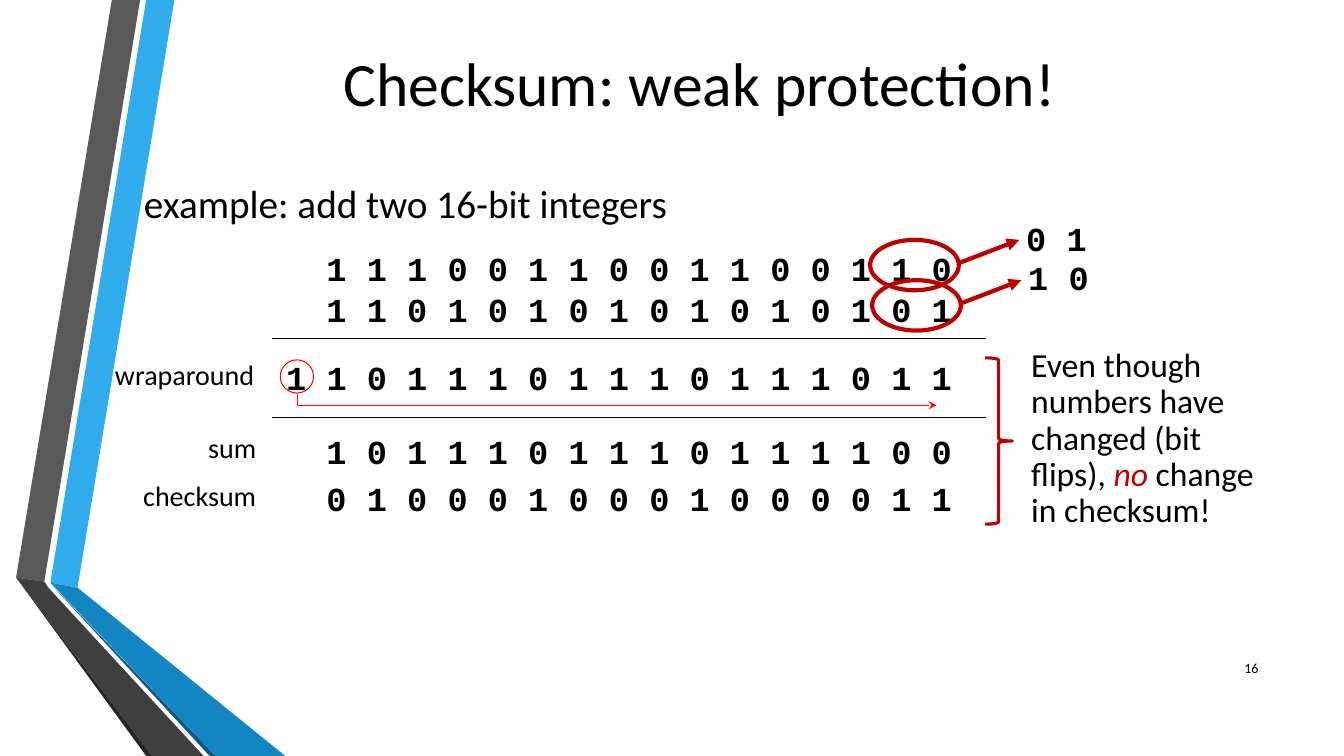
"""Build the slide on the weak protection that a checksum gives."""
from lxml import etree
from pptx import Presentation, util as u
from pptx.dml.color import RGBColor
from pptx.enum import shapes, text
from pptx.oxml.ns import qn

PX = 9144
BLACK, RED, DARK_RED = "000000", "FF0000", "C00000"
SANS, MONO = "Calibri", "Courier New"
LEFT, CENTER, RIGHT = text.PP_ALIGN.LEFT, text.PP_ALIGN.CENTER, text.PP_ALIGN.RIGHT
TOP, MIDDLE = text.MSO_ANCHOR.TOP, text.MSO_ANCHOR.MIDDLE

RIBBONS = [
    ("30ACEC", [(50, 578), (77, 583), (173, 0), (145, 0)]),
    ("595959", [(139, 0), (111, 0), (16, 573), (44, 577)]),
    ("262626", [(16, 573), (145, 750), (151, 750)]),
    ("0B5982", [(50, 579), (208, 750), (214, 750)]),
    ("1186C3", [(50, 578), (214, 750), (283, 750), (77, 583)]),
    ("3F3F3F", [(202, 750), (48, 583), (44, 577), (16, 573), (151, 750)]),
]
TITLE = "Checksum: weak protection!"
EXAMPLE = "example: add two 16-bit integers"
REMARK = [("Even though numbers have changed (bit flips), ", False),
          ("no", True), (" change in checksum!", False)]
PAGE = "16"
LABELS = [("wraparound", 262, 350), ("sum", 264, 422), ("checksum", 264, 470)]
BIT_ROWS = [
    ("1110011001100110", 314, 241),
    ("1101010101010101", 314, 282),
    ("11011101110111011", 274, 349),
    ("1011101110111100", 314, 423),
    ("0100010001000011", 314, 469),
    ("01", 1008, 211),
    ("10", 1010, 250),
]
RULES_Y = [336, 414]
FLIPS = [(863, 238), (865, 278)]
CARRY_PATH = [(295, 391), (295, 402), (929, 402)]
BIT_STEP = 40

deck = Presentation()
deck.slide_width, deck.slide_height = 1333 * PX, 750 * PX
slide = deck.slides.add_slide(deck.slide_layouts[6])


def color(value):
    return RGBColor.from_string(value)


def stroke(shape, value, points, arrow=None):
    shape.line.color.rgb = color(value)
    shape.line.width = u.Pt(points)
    if arrow:
        outline = shape.line._get_or_add_ln()
        etree.SubElement(outline, qn("a:tailEnd"), type=arrow)


def freeform(points, closed):
    builder = slide.shapes.build_freeform(*points[0], scale=PX)
    builder.add_line_segments(points[1:], close=closed)
    outline = builder.convert_to_shape()
    outline.shadow.inherit = False
    return outline


def hollow(kind, box, value, points):
    shape = slide.shapes.add_shape(kind, *(n * PX for n in box))
    shape.shadow.inherit = False
    shape.fill.background()
    stroke(shape, value, points)
    return shape


def connect(start, end, value, points, arrow=None):
    line = slide.shapes.add_connector(
        shapes.MSO_CONNECTOR.STRAIGHT, *(n * PX for n in start + end))
    etree.SubElement(line._element.spPr, qn("a:effectLst"))
    stroke(line, value, points, arrow)


def write(words, box, size, font=SANS, align=LEFT, anchor=TOP, spacing=1.0):
    frame = slide.shapes.add_textbox(*(n * PX for n in box)).text_frame
    frame.word_wrap = True
    frame.vertical_anchor = anchor
    paragraph = frame.paragraphs[0]
    paragraph.text = words
    paragraph.alignment = align
    paragraph.line_spacing = spacing
    paragraph.font.name = font
    paragraph.font.size = u.Pt(size)
    paragraph.font.bold = font == MONO
    paragraph.font.color.rgb = color(BLACK)
    return paragraph


for shade, corners in RIBBONS:
    ribbon = freeform(corners, True)
    ribbon.fill.solid()
    ribbon.fill.fore_color.rgb = color(shade)
    ribbon.line.fill.background()

write(TITLE, (87, 32, 1214, 98), 44, align=CENTER, anchor=MIDDLE)
write(EXAMPLE, (133, 159, 850, 300), 28, spacing=1.3)

for rule_y in RULES_Y:
    connect((978, rule_y), (270, rule_y), BLACK, 1)
for label, right, top in LABELS:
    write(label, (right - 180, top, 180, 44), 20, align=RIGHT)
for bits, left, top in BIT_ROWS:
    write(" ".join(bits), (left, top, len(bits) * BIT_STEP + 10, 50), 24, MONO)

hollow(shapes.MSO_SHAPE.OVAL, (278, 357, 33, 33), RED, 0.75)
carry = freeform(CARRY_PATH, False)
carry.fill.background()
stroke(carry, RED, 0.75, "stealth")

for left, top in FLIPS:
    hollow(shapes.MSO_SHAPE.OVAL, (left, top, 88, 50), DARK_RED, 3)
    connect((left + 88, top + 23), (left + 148, top), DARK_RED, 3, "triangle")

brace = hollow(shapes.MSO_SHAPE.RIGHT_BRACE, (977, 355, 27, 165), DARK_RED, 2.25)
brace.adjustments[0] = 0.08
remark = write("", (1013, 341, 263, 192), 24, spacing=0.9)
for words, stressed in REMARK:
    run = remark.add_run()
    run.text = words
    if stressed:
        run.font.italic = True
        run.font.color.rgb = color(DARK_RED)

write(PAGE, (1198, 643, 60, 40), 10, align=RIGHT, anchor=MIDDLE)

deck.save("out.pptx")
